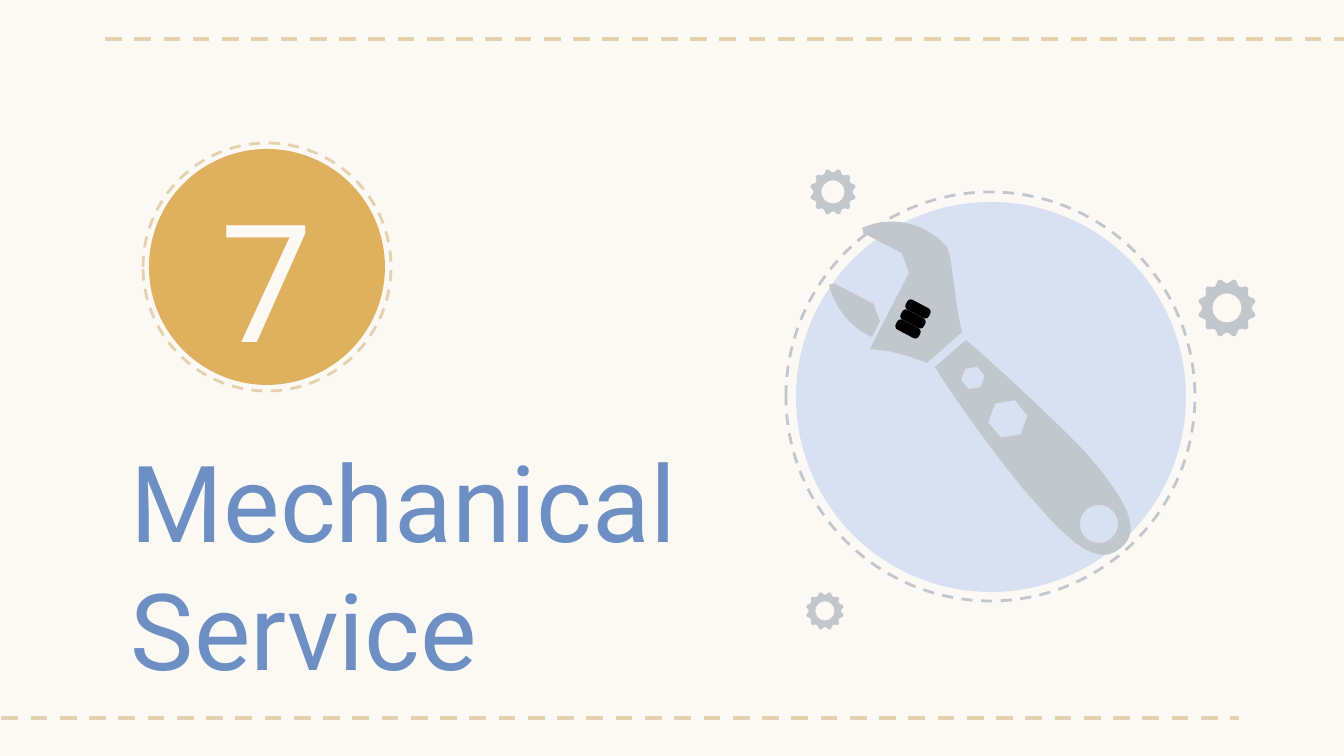
from math import cos, pi, radians, sin

from lxml.etree import SubElement
from pptx import Presentation
from pptx.dml.color import RGBColor
from pptx.enum.dml import MSO_LINE
from pptx.enum.shapes import MSO_CONNECTOR, MSO_SHAPE
from pptx.enum.text import MSO_ANCHOR, PP_ALIGN
from pptx.oxml.ns import qn
from pptx.util import Emu, Pt

PX = 914400 / 134.4
CREAM = RGBColor(0xFC, 0xF8, 0xF4)
SAND = RGBColor(0xE4, 0xD1, 0xAD)
GOLD = RGBColor(0xDF, 0xB0, 0x5E)
BLUE = RGBColor(0x6E, 0x8F, 0xC3)
PALE_BLUE = RGBColor(0xD8, 0xE1, 0xF1)
GREY = RGBColor(0xC2, 0xC7, 0xCC)
BLACK = RGBColor(0, 0, 0)

LOWER_JAW = [
    (829, 285), (835, 308, 851, 328, 872, 337), (880, 321),
    (876, 312, 874, 304, 874, 304), (835, 284), (833, 284, 832, 284, 829, 285),
]
UPPER_JAW = [
    (862, 228), (863, 230, 863, 231, 863, 233), (902, 253), (909, 273),
    (870, 349), (888, 351), (888, 351, 914, 357, 927, 363), (962, 332),
    (953, 295, 953, 254, 946, 246), (925, 222, 890, 215, 862, 228),
]
HANDLE = [
    (935, 367), (949, 391, 1007, 472, 1034, 501),
    (1086, 563, 1106, 560, 1121, 548), (1136, 535, 1140, 515, 1087, 454),
    (1060, 425, 988, 358, 966, 340),
]
GEARS = [(833, 192, 23), (1227, 308, 29), (825, 611, 19)]
KNOBS = [(908, 329), (913, 319), (918, 309)]


def px(n):
    """Turn px into EMU."""
    return Emu(round(n * PX))


def polar(cx, cy, r, degrees):
    """Return the point at an angle and distance from a centre."""
    return cx + r * cos(radians(degrees)), cy + r * sin(radians(degrees))


def polygon(cx, cy, r, sides, start=0):
    """Return the corners of a regular polygon."""
    return [polar(cx, cy, r, start + 360 * i / sides) for i in range(sides)]


def curve(steps, pieces=12):
    """Flatten lines (x, y) and cubic curves (x1, y1, x2, y2, x, y) to points."""
    points = []
    for step in steps:
        if len(step) == 2:
            points.append(step)
            continue
        (x0, y0), (x1, y1, x2, y2, x3, y3) = points[-1], step
        for i in range(1, pieces + 1):
            t = i / pieces
            a, b, c, d = (1 - t) ** 3, 3 * t * (1 - t) ** 2, 3 * t * t * (1 - t), t ** 3
            points.append((a * x0 + b * x1 + c * x2 + d * x3,
                           a * y0 + b * y1 + c * y2 + d * y3))
    return points


def gear_rim(cx, cy, r, teeth=12):
    """Return a gear outline with a rounded notch between each pair of teeth."""
    return [polar(cx, cy, r * (1 - 0.15 * cos(pi / 2 * a / 12)), 360 * i / teeth + a)
            for i in range(teeth) for a in range(-12, 13, 3)]


def add_outline(shapes, color, *contours):
    """Add a filled freeform; contours after the first are holes."""
    emu = [[(px(x), px(y)) for x, y in contour] for contour in contours]
    builder = shapes.build_freeform(*emu[0][0])
    builder.add_line_segments(emu[0][1:])
    for hole in emu[1:]:
        builder.move_to(*hole[0])
        builder.add_line_segments(hole[1:])
    paint(builder.convert_to_shape(), color)


def paint(sp, color):
    """Give a shape a plain fill with no line or shadow."""
    sp.shadow.inherit = False
    sp.fill.solid()
    sp.fill.fore_color.rgb = color
    sp.line.fill.background()


def dash(line, color, width):
    """Style a line as dashed."""
    line.color.rgb = color
    line.width = Pt(width)
    line.dash_style = MSO_LINE.DASH


def add_disc(shapes, x, y, size, color):
    """Add a filled circle."""
    paint(shapes.add_shape(MSO_SHAPE.OVAL, px(x), px(y), px(size), px(size)), color)


def add_ring(shapes, x, y, size, color):
    """Add a dashed circle without fill."""
    sp = shapes.add_shape(MSO_SHAPE.OVAL, px(x), px(y), px(size), px(size))
    sp.shadow.inherit = False
    sp.fill.background()
    dash(sp.line, color, 1.5)


def add_rule(shapes, x1, x2, y):
    """Add a dashed horizontal rule."""
    cxn = shapes.add_connector(MSO_CONNECTOR.STRAIGHT, px(x1), px(y), px(x2), px(y))
    dash(cxn.line, SAND, 2.25)
    SubElement(cxn._element.spPr, qn("a:effectLst"))


def add_knob(shapes, cx, cy, w=26, h=11):
    """Add one tilted ridge of the wrench's adjusting screw."""
    sp = shapes.add_shape(MSO_SHAPE.ROUNDED_RECTANGLE,
                          px(cx - w / 2), px(cy - h / 2), px(w), px(h))
    sp.adjustments[0] = 0.35
    sp.rotation = 28
    paint(sp, BLACK)


def add_text(shapes, box, text, size, color, align, anchor):
    """Add a one-run text box."""
    tf = shapes.add_textbox(*map(px, box)).text_frame
    tf.word_wrap = True
    tf.vertical_anchor = anchor
    tf.margin_left = tf.margin_right = tf.margin_top = tf.margin_bottom = px(13)
    p = tf.paragraphs[0]
    p.alignment = align
    r = p.add_run()
    r.text = text
    r.font.name = "Roboto"
    r.font.size = Pt(size)
    r.font.color.rgb = color


def add_wrench(shapes):
    """Add the wrench on its round backdrop."""
    add_ring(shapes, 786, 192, 409, GREY)
    add_disc(shapes, 796, 202, 390, PALE_BLUE)
    add_outline(shapes, GREY, curve(LOWER_JAW))
    add_outline(shapes, GREY, curve(UPPER_JAW))
    for cx, cy in KNOBS:
        add_knob(shapes, cx, cy)
    add_outline(shapes, GREY, curve(HANDLE), polygon(973, 378, 12, 6, -10),
                polygon(1008, 419, 20, 6, -10), polygon(1099, 524, 19, 48))


def main():
    """Build the section slide."""
    prs = Presentation()
    prs.slide_width, prs.slide_height = px(1344), px(756)
    s = prs.slides.add_slide(prs.slide_layouts[6])
    s.background.fill.solid()
    s.background.fill.fore_color.rgb = CREAM
    add_rule(s.shapes, 105, 1372, 39)
    add_rule(s.shapes, -28, 1239, 718)
    add_ring(s.shapes, 143, 143, 248, SAND)
    add_disc(s.shapes, 149, 149, 236, GOLD)
    add_text(s.shapes, (118, 423, 690, 124), "Mechanical Service", 57, BLUE,
             PP_ALIGN.LEFT, MSO_ANCHOR.TOP)
    add_text(s.shapes, (134, 156, 265, 242), "7", 88, CREAM,
             PP_ALIGN.CENTER, MSO_ANCHOR.MIDDLE)
    add_wrench(s.shapes.add_group_shape().shapes)
    for cx, cy, r in GEARS:
        add_outline(s.shapes, GREY, gear_rim(cx, cy, r), polygon(cx, cy, r / 2, 36))
    prs.save("out.pptx")


if __name__ == "__main__":
    main()
